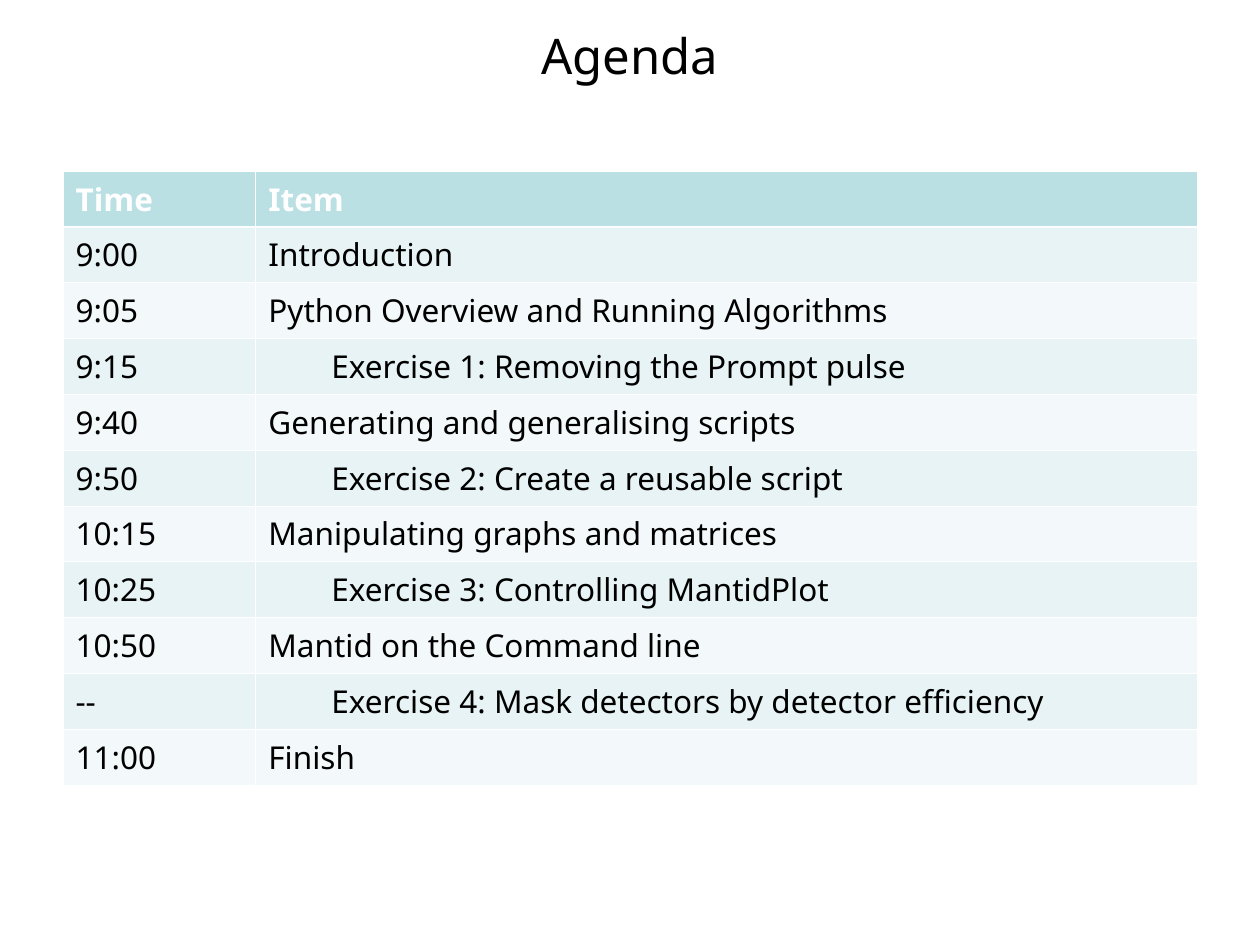
from lxml import etree
from pptx import Presentation
from pptx.dml.color import RGBColor
from pptx.enum import text
from pptx.oxml.ns import qn
from pptx.util import Pt

FONT = "Noto Sans"
WHITE, BLACK = "FFFFFF", "000000"
HEADER_FILL = "BBE0E3"
BAND_FILLS = ("E7F3F4", "F3F9FA")
THIN, THICK = 0.45, 1.47
INDENT = 36

HEADER = ("Time", "Item")
# Time, item, indent level
AGENDA = [
    ("9:00", "Introduction", 0),
    ("9:05", "Python Overview and Running Algorithms", 0),
    ("9:15", "Exercise 1: Removing the Prompt pulse", 1),
    ("9:40", "Generating and generalising scripts", 0),
    ("9:50", "Exercise 2: Create a reusable script", 1),
    ("10:15", "Manipulating graphs and matrices", 0),
    ("10:25", "Exercise 3: Controlling MantidPlot", 1),
    ("10:50", "Mantid on the Command line", 0),
    ("--", "Exercise 4: Mask detectors by detector efficiency", 1),
    ("11:00", "Finish", 0),
]


def color(value):
    return RGBColor.from_string(value)


def write(frame, words, size=18, fill=BLACK, bold=False, align=None, level=0):
    paragraph = frame.paragraphs[0]
    paragraph.alignment = align
    if level:
        paragraph.level = level
        properties = paragraph._p.get_or_add_pPr()
        properties.set("marL", str(Pt(INDENT * level)))
        properties.set("indent", "0")
    run = paragraph.add_run()
    run.text = words
    run.font.name = FONT
    run.font.size = Pt(size)
    run.font.bold = bold
    run.font.color.rgb = color(fill)


def set_borders(cell, top, bottom):
    """Draw white borders; call before the cell is filled, as the XML order requires."""
    properties = cell._tc.get_or_add_tcPr()
    for side, width in (("L", THIN), ("R", THIN), ("T", top), ("B", bottom)):
        line = etree.SubElement(properties, qn(f"a:ln{side}"), w=str(Pt(width)))
        solid = etree.SubElement(line, qn("a:solidFill"))
        etree.SubElement(solid, qn("a:srgbClr"), val=WHITE)


def add_title(slide, words, left, top, width, height):
    title = slide.shapes.title
    title.left, title.top = Pt(left), Pt(top)
    title.width, title.height = Pt(width), Pt(height)
    title.text_frame.vertical_anchor = text.MSO_ANCHOR.MIDDLE
    write(title.text_frame, words, size=28, align=text.PP_ALIGN.CENTER)


def add_agenda(slide, left, top, width, row_height, time_width):
    count = len(AGENDA) + 1
    table = slide.shapes.add_table(
        count, 2, Pt(left), Pt(top), Pt(width), Pt(row_height * count)
    ).table
    table.columns[0].width = Pt(time_width)
    table.columns[1].width = Pt(width - time_width)
    for number, (time, item, level) in enumerate([(*HEADER, 0), *AGENDA]):
        table.rows[number].height = Pt(row_height)
        is_header = number == 0
        fill = HEADER_FILL if is_header else BAND_FILLS[(number - 1) % 2]
        for cell, words, indent in zip(
            table.rows[number].cells, (time, item), (0, level)
        ):
            set_borders(
                cell,
                top=THICK if number == 1 else THIN,
                bottom=THICK if is_header else THIN,
            )
            cell.fill.solid()
            cell.fill.fore_color.rgb = color(fill)
            write(cell.text_frame, words, fill=WHITE if is_header else BLACK,
                  bold=is_header, level=indent)


def main():
    presentation = Presentation()
    presentation.slide_width, presentation.slide_height = Pt(720), Pt(540)
    slide = presentation.slides.add_slide(presentation.slide_layouts[5])
    add_title(slide, "Agenda", left=36, top=-13.5, width=648, height=90)
    add_agenda(slide, left=36, top=97.8, width=648, row_height=31.9,
               time_width=110.2)
    presentation.save("out.pptx")


if __name__ == "__main__":
    main()
